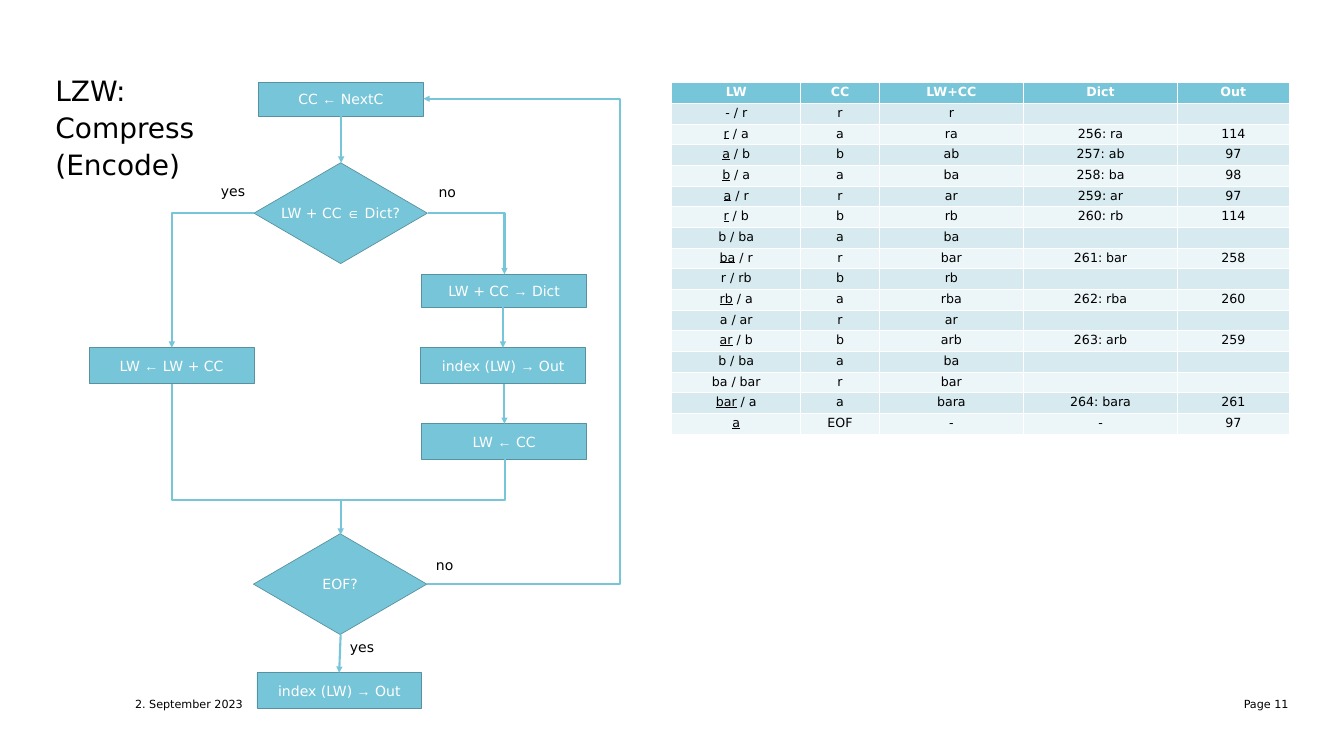
import itertools

import pptx
import pptx.dml.color
import pptx.enum.shapes
import pptx.enum.text
import pptx.oxml.ns
import pptx.util
from lxml import etree

RGBColor = pptx.dml.color.RGBColor
SHAPE = pptx.enum.shapes.MSO_SHAPE
CONNECTOR = pptx.enum.shapes.MSO_CONNECTOR
ALIGN = pptx.enum.text.PP_ALIGN
ANCHOR = pptx.enum.text.MSO_ANCHOR
qn = pptx.oxml.ns.qn

PX = 9144
TEAL = RGBColor(0x77, 0xC5, 0xD8)
OUTLINE = RGBColor(0x58, 0x92, 0xA0)
WHITE = RGBColor(0xFF, 0xFF, 0xFF)
BLACK = RGBColor(0x00, 0x00, 0x00)
BANDS = [RGBColor(0xEC, 0xF5, 0xF8), RGBColor(0xD6, 0xEA, 0xF0)]
SYMBOLS = "←→∈"

deck = pptx.Presentation()
deck.slide_width = 2667 * PX
deck.slide_height = 1500 * PX
slide = deck.slides.add_slide(deck.slide_layouts[6])


def write(frame, text, size, color, align=ALIGN.CENTER):
    paragraph = frame.paragraphs[0]
    paragraph.alignment = align
    paragraph.font.size = pptx.util.Pt(size)
    paragraph.font.name = "DejaVu Sans"
    paragraph.font.color.rgb = color
    for is_symbol, letters in itertools.groupby(text, lambda letter: letter in SYMBOLS):
        run = paragraph.add_run()
        run.text = "".join(letters)
        if is_symbol:
            run.font.name = "Arial"
    return paragraph


def connect(kind, start, end, arrow=True):
    flow = slide.shapes.add_connector(kind, *(value * PX for value in start + end))
    flow.line.color.rgb = TEAL
    flow.line.width = pptx.util.Pt(3)
    if arrow:
        etree.SubElement(flow.line._get_or_add_ln(), qn("a:tailEnd"), type="triangle")
    etree.SubElement(flow._element.spPr, qn("a:effectLst"))
    return flow._element.spPr


plain_texts = [
    ("2. September 2023", 268, 1386, 334, 20, 16, ALIGN.LEFT, ANCHOR.MIDDLE),
    ("Page 11", 2223, 1387, 334, 20, 16, ALIGN.RIGHT, ANCHOR.MIDDLE),
    ("LZW:", 110, 149, 2448, 210, 40, ALIGN.LEFT, ANCHOR.BOTTOM),
]
for text, left, top, width, height, size, align, anchor in plain_texts:
    frame = slide.shapes.add_textbox(left * PX, top * PX, width * PX, height * PX).text_frame
    frame.word_wrap = True
    frame.vertical_anchor = anchor
    frame.margin_left = frame.margin_right = frame.margin_top = frame.margin_bottom = 0
    title = write(frame, text, size, BLACK, align)

title.line_spacing = 1.1
for line in ["Compress", "(Encode)"]:
    title.add_line_break()
    title.add_run().text = line

trace_rows = [
    ("LW", "CC", "LW+CC", "Dict", "Out"),
    ("- / r", "r", "r", "", ""),
    ("r / a", "a", "ra", "256: ra", "114"),
    ("a / b", "b", "ab", "257: ab", "97"),
    ("b / a", "a", "ba", "258: ba", "98"),
    ("a / r", "r", "ar", "259: ar", "97"),
    ("r / b", "b", "rb", "260: rb", "114"),
    ("b / ba", "a", "ba", "", ""),
    ("ba / r", "r", "bar", "261: bar", "258"),
    ("r / rb", "b", "rb", "", ""),
    ("rb / a", "a", "rba", "262: rba", "260"),
    ("a / ar", "r", "ar", "", ""),
    ("ar / b", "b", "arb", "263: arb", "259"),
    ("b / ba", "a", "ba", "", ""),
    ("ba / bar", "r", "bar", "", ""),
    ("bar / a", "a", "bara", "264: bara", "261"),
    ("a", "EOF", "-", "-", "97"),
]
column_widths = [256, 156, 286, 306, 221]
ROW_HEIGHT = 41
trace = slide.shapes.add_table(
    len(trace_rows), len(column_widths), 1333 * PX, 164 * PX,
    sum(column_widths) * PX, len(trace_rows) * ROW_HEIGHT * PX).table
for column, width in zip(trace.columns, column_widths):
    column.width = width * PX
for row_number, values in enumerate(trace_rows):
    trace.rows[row_number].height = ROW_HEIGHT * PX
    is_header = row_number == 0
    for column_number, value in enumerate(values):
        cell = trace.cell(row_number, column_number)
        cell.fill.solid()
        cell.fill.fore_color.rgb = TEAL if is_header else BANDS[row_number % 2]
        emitted, slash, rest = value.partition(" / ")
        paragraph = write(cell.text_frame, emitted, 18, WHITE if is_header else BLACK)
        paragraph.font.bold = is_header
        if column_number == 0 and values[-1] and not is_header:
            paragraph.runs[0].font.underline = True
        if slash:
            paragraph.add_run().text = slash + rest

steps = [
    ("CC ← NextC", SHAPE.RECTANGLE, 513, 164, 327, 66),
    ("LW + CC → Dict", SHAPE.RECTANGLE, 837, 544, 327, 66),
    ("index (LW) → Out", SHAPE.RECTANGLE, 510, 1335, 327, 70),
    ("LW ← CC", SHAPE.RECTANGLE, 837, 841, 327, 70),
    ("LW ← LW + CC", SHAPE.RECTANGLE, 177, 690, 327, 71),
    ("index (LW) → Out", SHAPE.RECTANGLE, 835, 690, 327, 71),
    ("LW + CC ∈ Dict?", SHAPE.DIAMOND, 504, 323, 344, 200),
    ("EOF?", SHAPE.DIAMOND, 503, 1059, 344, 200),
]
for text, outline, left, top, width, height in steps:
    step = slide.shapes.add_shape(outline, left * PX, top * PX, width * PX, height * PX)
    step.shadow.inherit = False
    step.fill.solid()
    step.fill.fore_color.rgb = TEAL
    step.line.color.rgb = OUTLINE
    step.line.width = pptx.util.Pt(1)
    step.text_frame.word_wrap = False
    step.text_frame.vertical_anchor = ANCHOR.MIDDLE
    write(step.text_frame, text, 20, WHITE)

straight_flows = [
    ((677, 229), (677, 323)),
    ((676, 994), (676, 1061)),
    ((676, 1259), (673, 1335)),
    ((998, 610), (998, 690)),
    ((1001, 761), (1001, 841)),
]
for start, end in straight_flows:
    connect(CONNECTOR.STRAIGHT, start, end)

for start, end in [((849, 423), (1001, 544)), ((504, 423), (341, 690))]:
    branch = connect(CONNECTOR.ELBOW, start, end)
    branch.find(qn("a:prstGeom")).set("prst", "bentConnector2")

merge = connect(CONNECTOR.ELBOW, (746, 506), (596, 1167), arrow=False)
merge.find(qn("a:xfrm")).set("rot", str(270 * 60000))
loop_back = connect(CONNECTOR.ELBOW, (848, 1159), (840, 196))
for bend, ratio in [(merge, 230 / 150), (loop_back, -383 / 8)]:
    adjustments = bend.find(qn("a:prstGeom")).get_or_add_avLst()
    etree.SubElement(adjustments, qn("a:gd"), name="adj1", fmla=f"val {round(ratio * 100000)}")

branch_labels = [("yes", 415, 358), ("no", 840, 360), ("yes", 671, 1262), ("no", 835, 1100)]
for text, left, top in branch_labels:
    label = slide.shapes.add_textbox(left * PX, top * PX, 95 * PX, 44 * PX)
    label.text_frame.word_wrap = True
    write(label.text_frame, text, 20, BLACK)

deck.save("out.pptx")
